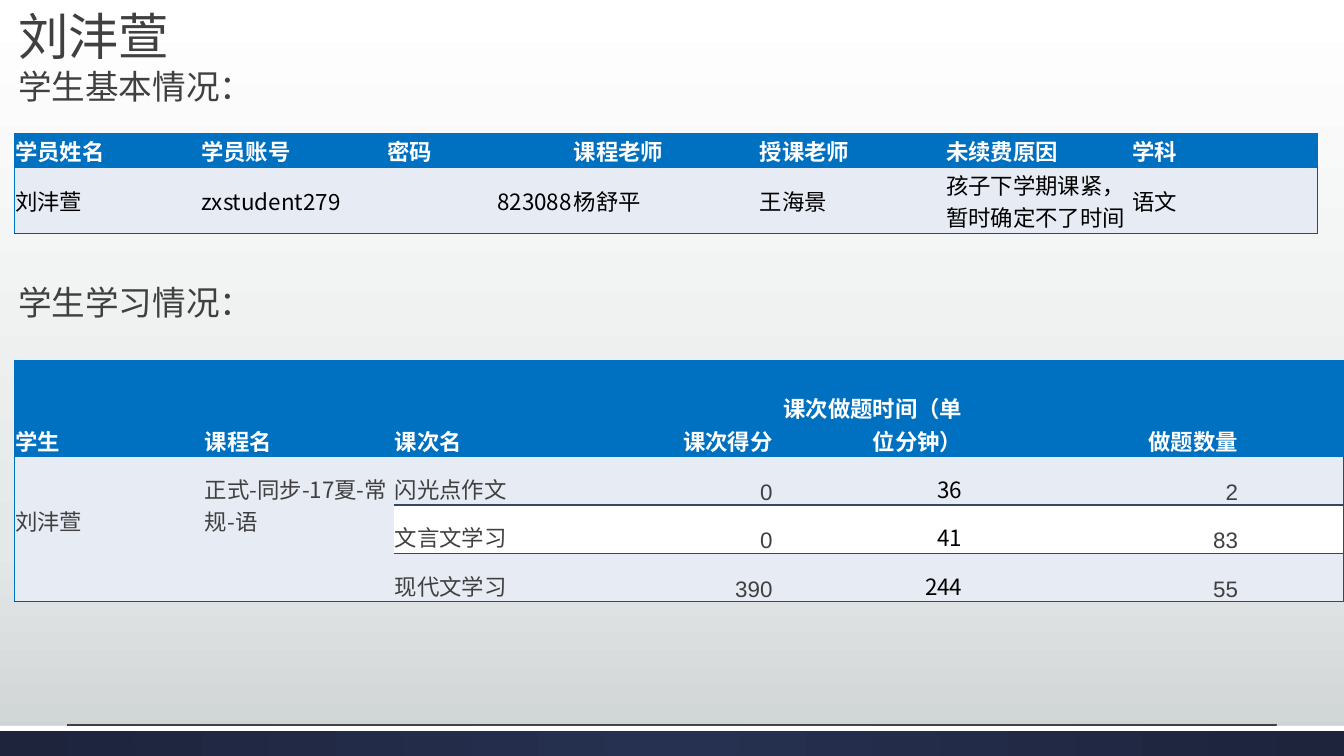
from dataclasses import dataclass

from lxml import etree
from pptx import Presentation
from pptx import util as u
from pptx.dml.color import RGBColor
from pptx.enum import shapes, text
from pptx.oxml.ns import qn


@dataclass(frozen=True)
class Theme:
    heading_font: str = "Cabin"
    table_font: str = "Noto Sans CJK SC"
    number_font: str = "Arial"
    title_size: int = 36
    heading_size: int = 24
    table_size: int = 16
    ink: str = "404040"
    black: str = "000000"
    white: str = "FFFFFF"
    blue: str = "0070C0"
    band: str = "E7EBF4"
    rule: str = "34495E"
    backdrop: tuple = ((0, "FFFFFF"), (72, "E5E8E8"), (100, "CDD2D2"))
    footer: tuple = ((0, "263050"), (100, "1D243C"))


THEME = Theme()
WIDTH, HEIGHT = 13.33, 7.5
LEFT, RIGHT = text.PP_ALIGN.LEFT, text.PP_ALIGN.RIGHT
MIDDLE, BOTTOM = text.MSO_ANCHOR.MIDDLE, text.MSO_ANCHOR.BOTTOM
PLAIN_TABLE = "{2D5ABB26-0587-4C30-8999-92F81FD0307C}"


def colour(value):
    return RGBColor.from_string(value)


def inches(box):
    return [u.Inches(length) for length in box]


def add_run(paragraph, words, font, size, ink, bold=False):
    run = paragraph.add_run()
    run.text = words
    run.font.name, run.font.size, run.font.bold = font, u.Pt(size), bold
    run.font.color.rgb = colour(ink)
    east_asian = etree.SubElement(run.font._element, qn("a:ea"))
    east_asian.set("typeface", font)


def set_gradient(element, stops, radial=False):
    """Fill the gradient found in an element with its stops and direction."""
    gradient = element.find(".//" + qn("a:gradFill"))
    for child in list(gradient):
        gradient.remove(child)
    stop_list = etree.SubElement(gradient, qn("a:gsLst"))
    for position, value in stops:
        stop = etree.SubElement(stop_list, qn("a:gs"), pos=str(position * 1000))
        etree.SubElement(stop, qn("a:srgbClr"), val=value)
    if radial:
        path = etree.SubElement(gradient, qn("a:path"), path="circle")
        etree.SubElement(path, qn("a:fillToRect"),
                         {side: "50000" for side in "ltrb"})
    else:
        etree.SubElement(gradient, qn("a:lin"), ang="5400000", scaled="0")


def add_backdrop(slide):
    slide.background.fill.gradient()
    set_gradient(slide.element, THEME.backdrop)


def add_footer(slide, box):
    left, top, width, height = box
    # Thin rule just above the band
    rule_y = top - 0.01
    rule = slide.shapes.add_connector(
        shapes.MSO_CONNECTOR.STRAIGHT,
        *inches((left + width * 0.05, rule_y, left + width * 0.95, rule_y)))
    rule.line.color.rgb = colour(THEME.ink)
    rule.line.width = u.Pt(0.75)
    etree.SubElement(rule._element.spPr, qn("a:effectLst"))
    # Dark band, then its white edge
    for share in (1, 1 / 6):
        band = slide.shapes.add_shape(
            shapes.MSO_SHAPE.RECTANGLE, *inches((left, top, width, height * share)))
        band.shadow.inherit = False
        band.line.fill.background()
        if share == 1:
            band.fill.gradient()
            set_gradient(band._element, THEME.footer, radial=True)
        else:
            band.fill.solid()
            band.fill.fore_color.rgb = colour(THEME.white)


def fill_heading(placeholder, box, lines):
    """Move a placeholder and write (words, size) lines without bullets."""
    placeholder.left, placeholder.top, placeholder.width, placeholder.height = inches(box)
    frame = placeholder.text_frame
    frame.word_wrap = True
    frame.auto_size = text.MSO_AUTO_SIZE.NONE
    frame.vertical_anchor = text.MSO_ANCHOR.TOP
    for index, (words, size) in enumerate(lines):
        paragraph = frame.add_paragraph() if index else frame.paragraphs[0]
        properties = paragraph._p.get_or_add_pPr()
        properties.set("marL", "0")
        properties.set("indent", "0")
        etree.SubElement(properties, qn("a:buNone"))
        paragraph.alignment = LEFT
        paragraph.space_before = u.Pt(0)
        add_run(paragraph, words, THEME.heading_font, size, THEME.ink)


def set_borders(cell, sides):
    """Draw the given sides, in the order left, right, top, bottom."""
    properties = cell._tc.get_or_add_tcPr()
    position = 0
    for side in "LRTB":
        if side in sides:
            line = etree.Element(qn("a:ln" + side), w="12700")
            fill = etree.SubElement(line, qn("a:solidFill"))
            etree.SubElement(fill, qn("a:srgbClr"), val=sides[side])
            properties.insert(position, line)
            position += 1


def fill_cell(cell, words, fill, anchor, align, font, ink, bold):
    cell.margin_left = cell.margin_right = cell.margin_top = u.Inches(0.01)
    cell.margin_bottom = 0
    cell.vertical_anchor = anchor
    cell.fill.solid()
    cell.fill.fore_color.rgb = colour(fill)
    if words:
        paragraph = cell.text_frame.paragraphs[0]
        paragraph.alignment = align
        add_run(paragraph, words, font, THEME.table_size, ink, bold)


def add_table(slide, box, columns, heights, rows, anchor, right_columns, body_style):
    """body_style gives the font and colour of a column's body cells."""
    table = slide.shapes.add_table(len(rows), len(columns), *inches(box)).table
    table._tbl.tblPr.find(qn("a:tableStyleId")).text = PLAIN_TABLE
    table.horz_banding = False
    for column, share in zip(table.columns, columns):
        column.width = u.Inches(box[2] * share / sum(columns))
    for row, height in zip(table.rows, heights):
        row.height = u.Inches(height)
    last = len(columns) - 1
    for r, values in enumerate(rows):
        for c, words in enumerate(values):
            header = r == 0
            fill = THEME.blue if header else (THEME.white, THEME.band)[r % 2]
            font, ink = (THEME.table_font, THEME.white) if header else body_style(c)
            align = right_columns(r, c)
            cell = table.cell(r, c)
            fill_cell(cell, words, fill, anchor, RIGHT if align else LEFT,
                      font, ink, header)
            sides = {"B": THEME.blue if header else THEME.rule}
            if header:
                sides["T"] = THEME.blue
            if c == 0:
                sides["L"] = THEME.blue
            if c == last:
                sides["R"] = THEME.blue if header else THEME.rule
            set_borders(cell, sides)
    return table


def add_basic_table(slide, box):
    rows = [
        ("学员姓名", "学员账号", "密码", "课程老师", "授课老师", "未续费原因", "学科"),
        ("刘沣萱", "zxstudent279", "823088", "杨舒平", "王海景",
         "孩子下学期课紧，暂时确定不了时间", "语文"),
    ]
    add_table(slide, box, [1] * 7, (0.33, 0.66), rows, MIDDLE,
              lambda r, c: r == 1 and c == 2,
              lambda c: (THEME.table_font, THEME.black))


def add_study_table(slide, box):
    rows = [
        ("学生", "课程名", "课次名", "课次得分", "课次做题时间（单位分钟）", "做题数量", ""),
        ("刘沣萱", "正式-同步-17夏-常规-语", "闪光点作文", "0", "36", "2", ""),
        ("", "", "文言文学习", "0", "41", "83", ""),
        ("", "", "现代文学习", "390", "244", "55", ""),
    ]
    styles = {3: (THEME.number_font, THEME.ink), 4: (THEME.table_font, THEME.black),
              5: (THEME.number_font, THEME.ink)}
    table = add_table(slide, box, [1.88] * 5 + [2.73, 1.04], [0.95] + [0.48] * 3,
                      rows, BOTTOM, lambda r, c: c >= 3,
                      lambda c: styles.get(c, (THEME.table_font, THEME.ink)))
    # Student and course span the three lessons
    for c in (0, 1):
        table.cell(1, c).merge(table.cell(3, c))
        table.cell(1, c).margin_bottom = u.Inches(0.64)


def main():
    presentation = Presentation()
    presentation.slide_width, presentation.slide_height = inches((WIDTH, HEIGHT))
    slide = presentation.slides.add_slide(presentation.slide_layouts[1])
    title, body = slide.placeholders[0], slide.placeholders[1]
    add_backdrop(slide)
    add_footer(slide, (0, HEIGHT * 0.96, WIDTH, HEIGHT * 0.04))
    add_basic_table(slide, (0.14, 1.33, 12.93, 0.99))
    fill_heading(title, (0.08, 0, 9.48, 1.72),
                 [("刘沣萱", THEME.title_size), ("学生基本情况：", THEME.heading_size)])
    fill_heading(body, (0.08, 2.75, 9.48, 0.5),
                 [("学生学习情况：", THEME.heading_size)])
    add_study_table(slide, (0.14, 3.58, 13.19, 2.39))
    presentation.save("out.pptx")


if __name__ == "__main__":
    main()
